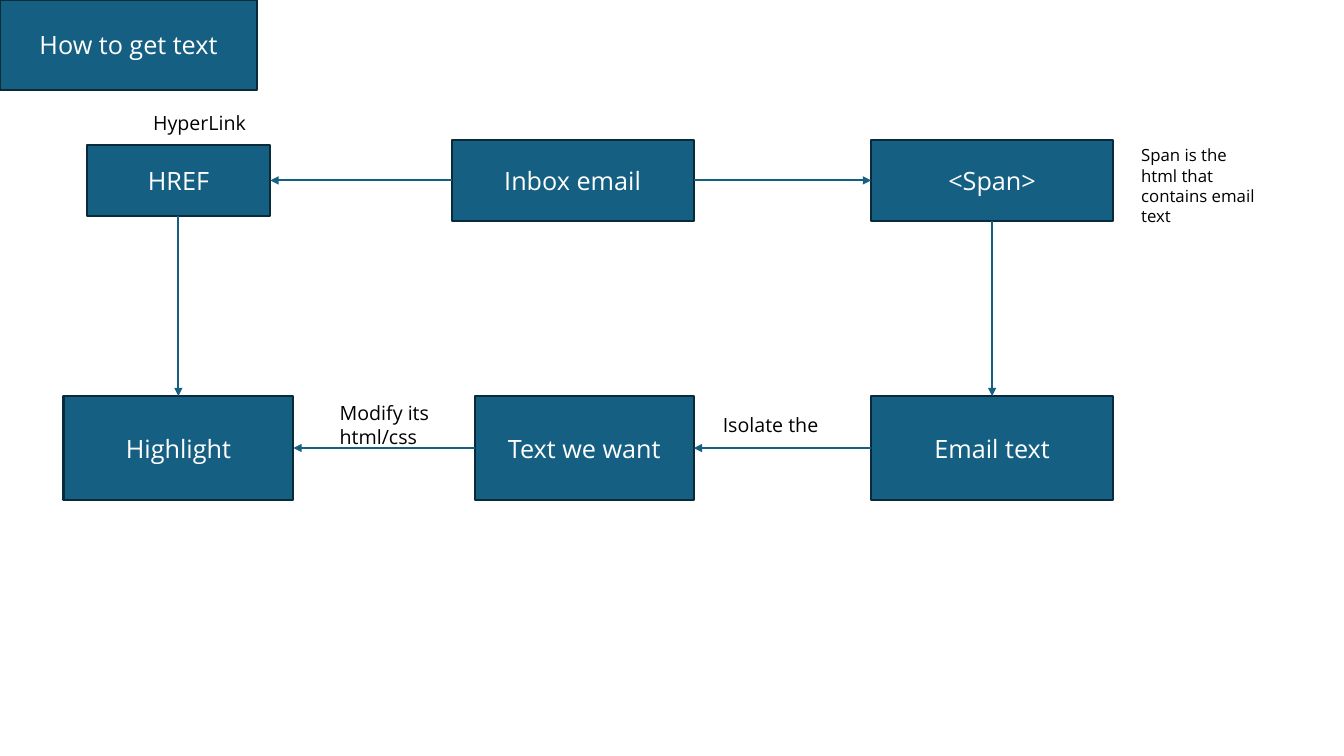
import pptx
import pptx.dml.color
import pptx.enum.shapes
import pptx.enum.text
import pptx.oxml
import pptx.oxml.ns
import pptx.util

Inches = pptx.util.Inches
Pt = pptx.util.Pt
MSO_ANCHOR = pptx.enum.text.MSO_ANCHOR
MSO_AUTO_SIZE = pptx.enum.text.MSO_AUTO_SIZE
PP_ALIGN = pptx.enum.text.PP_ALIGN

FONT = "Open Sans"
BLUE, OUTLINE, WHITE, BLACK = "156082", "092A39", "FFFFFF", "000000"

TITLE = ("How to get text", (0, 0, 2.55, 0.89))

# name: (text, (left, top, width, height))
BOXES = {
    "source": ("Inbox email", (4.48, 1.39, 2.4, 0.8)),
    "span": ("<Span>", (8.64, 1.39, 2.4, 0.8)),
    "email": ("Email text", (8.64, 3.93, 2.4, 1.03)),
    "wanted": ("Text we want", (4.71, 3.93, 2.17, 1.03)),
    "highlight": ("Highlight", (0.63, 3.93, 2.28, 1.03)),
    "href": ("HREF", (0.86, 1.44, 1.82, 0.7)),
}

# Connection sites of a rectangle
TOP, LEFT, BOTTOM, RIGHT = range(4)
ARROWS = [
    ("source", RIGHT, "span", LEFT),
    ("span", BOTTOM, "email", TOP),
    ("email", LEFT, "wanted", RIGHT),
    ("wanted", LEFT, "highlight", RIGHT),
    ("source", LEFT, "href", RIGHT),
    ("href", BOTTOM, "highlight", TOP),
]

# (text, size, (left, top, width, height))
LABELS = [
    ("Span is the html that contains email text", 12, (11.22, 1.39, 1.36, 0.71)),
    ("HyperLink", 14, (1.42, 1.05, 1.26, 0.34)),
    ("Isolate the", 14, (7.07, 4.05, 1.48, 0.34)),
    ("Modify its html/css", 14, (3.27, 3.93, 1.36, 0.57)),
]


def rgb(color):
    return pptx.dml.color.RGBColor.from_string(color)


def write(sp, text, size, color, align):
    tf = sp.text_frame
    tf.word_wrap = True
    p = tf.paragraphs[0]
    p.alignment = align
    r = p.add_run()
    r.text = text
    r.font.name = FONT
    r.font.size = Pt(size)
    r.font.color.rgb = rgb(color)


def style_box(sp, text):
    sp.fill.solid()
    sp.fill.fore_color.rgb = rgb(BLUE)
    sp.line.color.rgb = rgb(OUTLINE)
    sp.line.width = Pt(1.5)
    write(sp, text, 18, WHITE, PP_ALIGN.CENTER)
    sp.text_frame.vertical_anchor = MSO_ANCHOR.MIDDLE
    sp.text_frame.auto_size = MSO_AUTO_SIZE.NONE


def add_box(slide, text, frame):
    sp = slide.shapes.add_shape(
        pptx.enum.shapes.MSO_SHAPE.RECTANGLE, *map(Inches, frame))
    sp.shadow.inherit = False
    style_box(sp, text)
    return sp


def add_arrow(slide, start, start_site, end, end_site):
    line = slide.shapes.add_connector(
        pptx.enum.shapes.MSO_CONNECTOR.STRAIGHT, 0, 0, 0, 0)
    line.begin_connect(start, start_site)
    line.end_connect(end, end_site)
    line.line.color.rgb = rgb(BLUE)
    line.line.width = Pt(1.5)
    head = pptx.oxml.parse_xml(
        f'<a:tailEnd {pptx.oxml.ns.nsdecls("a")} type="triangle"/>')
    line.line._get_or_add_ln().append(head)
    line._element.spPr.append(pptx.oxml.parse_xml(
        f'<a:effectLst {pptx.oxml.ns.nsdecls("a")}/>'))


def add_label(slide, text, size, frame):
    sp = slide.shapes.add_textbox(*map(Inches, frame))
    write(sp, text, size, BLACK, PP_ALIGN.LEFT)
    sp.text_frame.auto_size = MSO_AUTO_SIZE.SHAPE_TO_FIT_TEXT


def main():
    prs = pptx.Presentation()
    prs.slide_width, prs.slide_height = Inches(13.33), Inches(7.5)
    slide = prs.slides.add_slide(prs.slide_layouts.get_by_name("Title Only"))

    text, frame = TITLE
    title = slide.shapes.title
    title.left, title.top, title.width, title.height = map(Inches, frame)
    style_box(title, text)

    boxes = {name: add_box(slide, *box) for name, box in BOXES.items()}
    for start, start_site, end, end_site in ARROWS:
        add_arrow(slide, boxes[start], start_site, boxes[end], end_site)
    for label in LABELS:
        add_label(slide, *label)

    prs.save("out.pptx")


if __name__ == "__main__":
    main()
